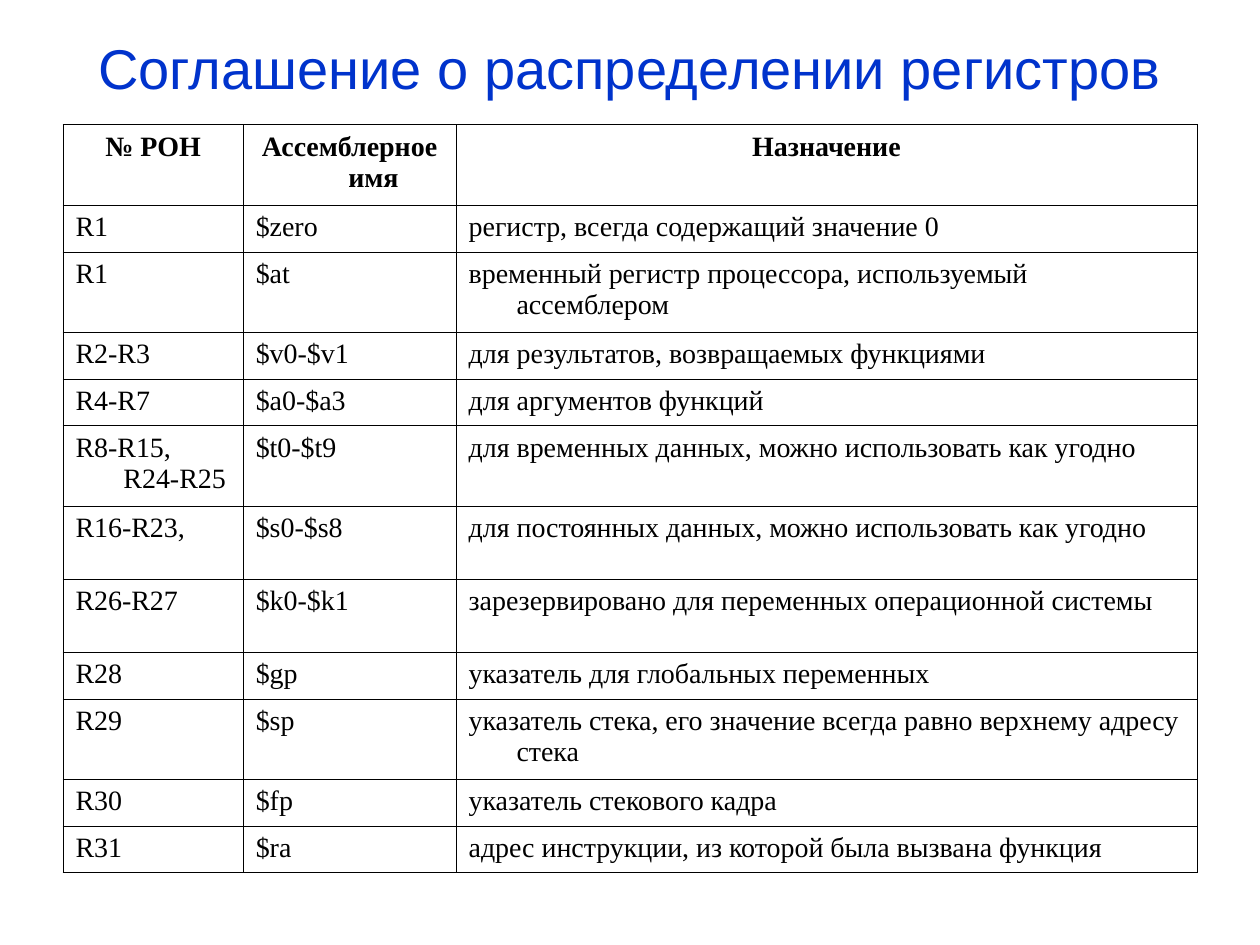
"""Build a slide with a table of register allocation conventions."""
from lxml import etree
from pptx import Presentation
from pptx.dml.color import RGBColor
from pptx.enum import text
from pptx.oxml import ns
from pptx.util import Inches, Pt

HEADING = "Соглашение о распределении регистров"
COLUMNS = ("№ РОН", "Ассемблерное имя", "Назначение")
SHORT, MIDDLE, TALL = 0.37, 0.58, 0.64
REGISTERS = [
    (SHORT, "R1", "$zero", "регистр, всегда содержащий значение 0"),
    (TALL, "R1", "$at", "временный регистр процессора, используемый ассемблером"),
    (SHORT, "R2-R3", "$v0-$v1", "для результатов, возвращаемых функциями"),
    (SHORT, "R4-R7", "$a0-$a3", "для аргументов функций"),
    (TALL, "R8-R15, R24-R25", "$t0-$t9", "для временных данных, можно использовать как угодно"),
    (MIDDLE, "R16-R23,", "$s0-$s8", "для постоянных данных, можно использовать как угодно"),
    (MIDDLE, "R26-R27", "$k0-$k1", "зарезервировано для переменных операционной системы"),
    (SHORT, "R28", "$gp", "указатель для глобальных переменных"),
    (TALL, "R29", "$sp", "указатель стека, его значение всегда равно верхнему адресу стека"),
    (SHORT, "R30", "$fp", "указатель стекового кадра"),
    (SHORT, "R31", "$ra", "адрес инструкции, из которой была вызвана функция"),
]
ROWS = [(TALL, *COLUMNS), *REGISTERS]
WIDTHS = (1.43, 1.69, 5.88)
LEFT, TOP = 0.5, 0.99
HANGING = 0.38
BLUE = RGBColor(0x00, 0x33, 0xCC)
BLACK = RGBColor(0x00, 0x00, 0x00)


def style(paragraph, font_name, size, color, bold=False):
    font = paragraph.font
    font.name, font.size, font.bold = font_name, Pt(size), bold
    font.color.rgb = color


def add_borders(cell):
    properties = cell._tc.get_or_add_tcPr()
    for position, side in enumerate(("lnL", "lnR", "lnT", "lnB")):
        border = etree.Element(ns.qn(f"a:{side}"), w=str(Pt(0.45)))
        fill = etree.SubElement(border, ns.qn("a:solidFill"))
        etree.SubElement(fill, ns.qn("a:srgbClr"), val=str(BLACK))
        properties.insert(position, border)


def fill_cell(cell, wording, is_header):
    cell.fill.background()
    add_borders(cell)
    cell.text_frame.text = wording
    paragraph = cell.text_frame.paragraphs[0]
    paragraph.alignment = text.PP_ALIGN.CENTER if is_header else text.PP_ALIGN.LEFT
    indents = paragraph._p.get_or_add_pPr()
    indents.set("marL", str(Inches(HANGING)))
    indents.set("indent", str(-Inches(HANGING)))
    style(paragraph, "Times New Roman", 16, BLACK, bold=is_header)


def add_heading(slide):
    heading = slide.shapes.add_textbox(Inches(LEFT), Inches(0.3), Inches(sum(WIDTHS)), Inches(0.46))
    frame = heading.text_frame
    frame.word_wrap = True
    frame.margin_left = frame.margin_right = frame.margin_top = frame.margin_bottom = 0
    frame.vertical_anchor = text.MSO_ANCHOR.MIDDLE
    frame.text = HEADING
    frame.paragraphs[0].alignment = text.PP_ALIGN.CENTER
    style(frame.paragraphs[0], "Arial", 32, BLUE)


def add_registers(slide):
    height = sum(row[0] for row in ROWS)
    registers = slide.shapes.add_table(
        len(ROWS), len(COLUMNS), Inches(LEFT), Inches(TOP), Inches(sum(WIDTHS)), Inches(height)
    ).table
    registers.horz_banding = False
    registers.first_row = False
    for column, width in zip(registers.columns, WIDTHS):
        column.width = Inches(width)
    for index, (row, (row_height, *wordings)) in enumerate(zip(registers.rows, ROWS)):
        row.height = Inches(row_height)
        for cell, wording in zip(row.cells, wordings):
            fill_cell(cell, wording, is_header=index == 0)


def main():
    deck = Presentation()
    deck.slide_width, deck.slide_height = Inches(10), Inches(7.5)
    slide = deck.slides.add_slide(deck.slide_layouts[6])
    add_heading(slide)
    add_registers(slide)
    deck.save("out.pptx")


if __name__ == "__main__":
    main()
